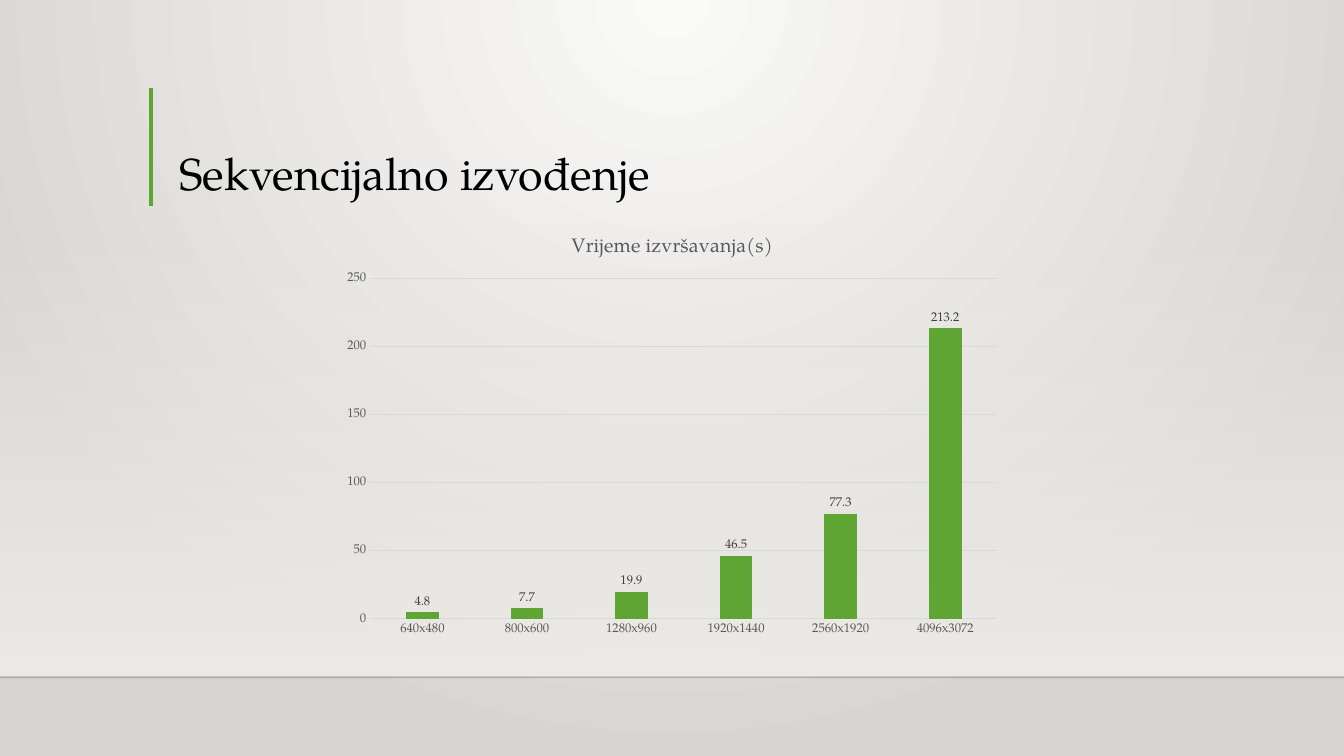
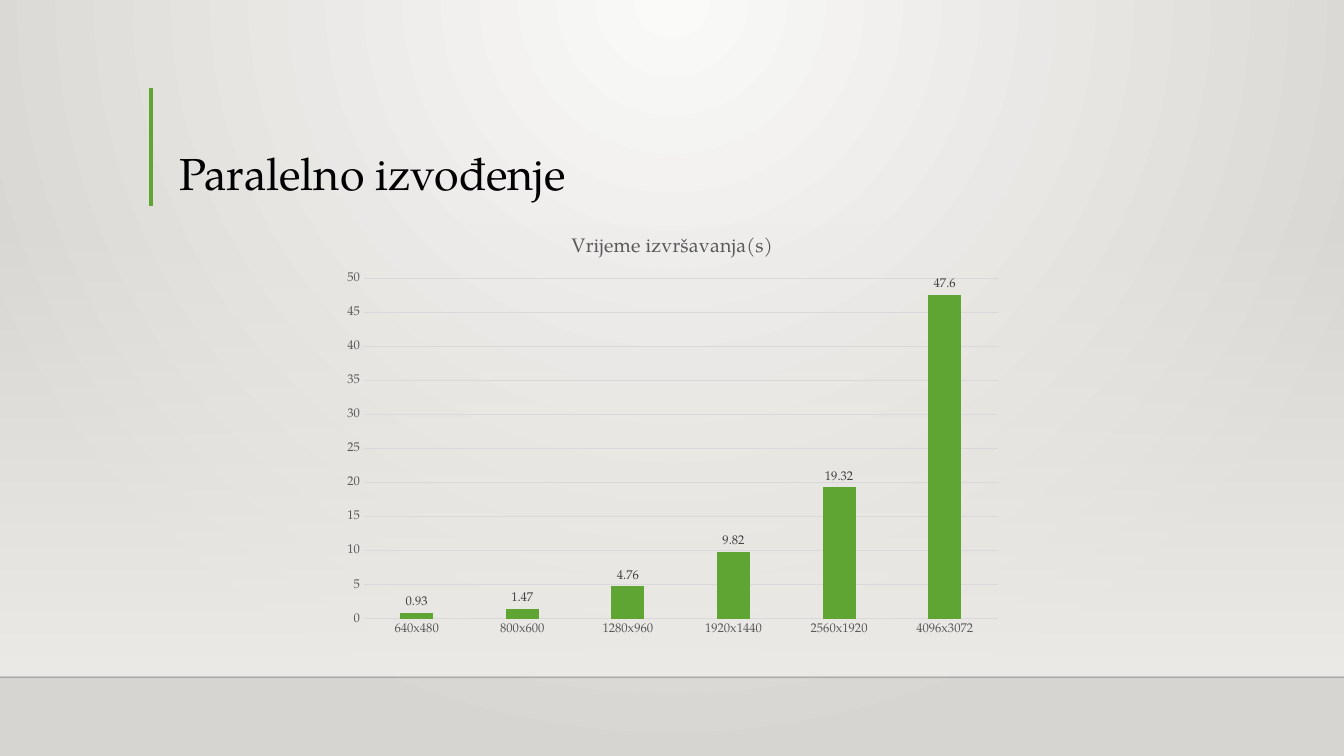
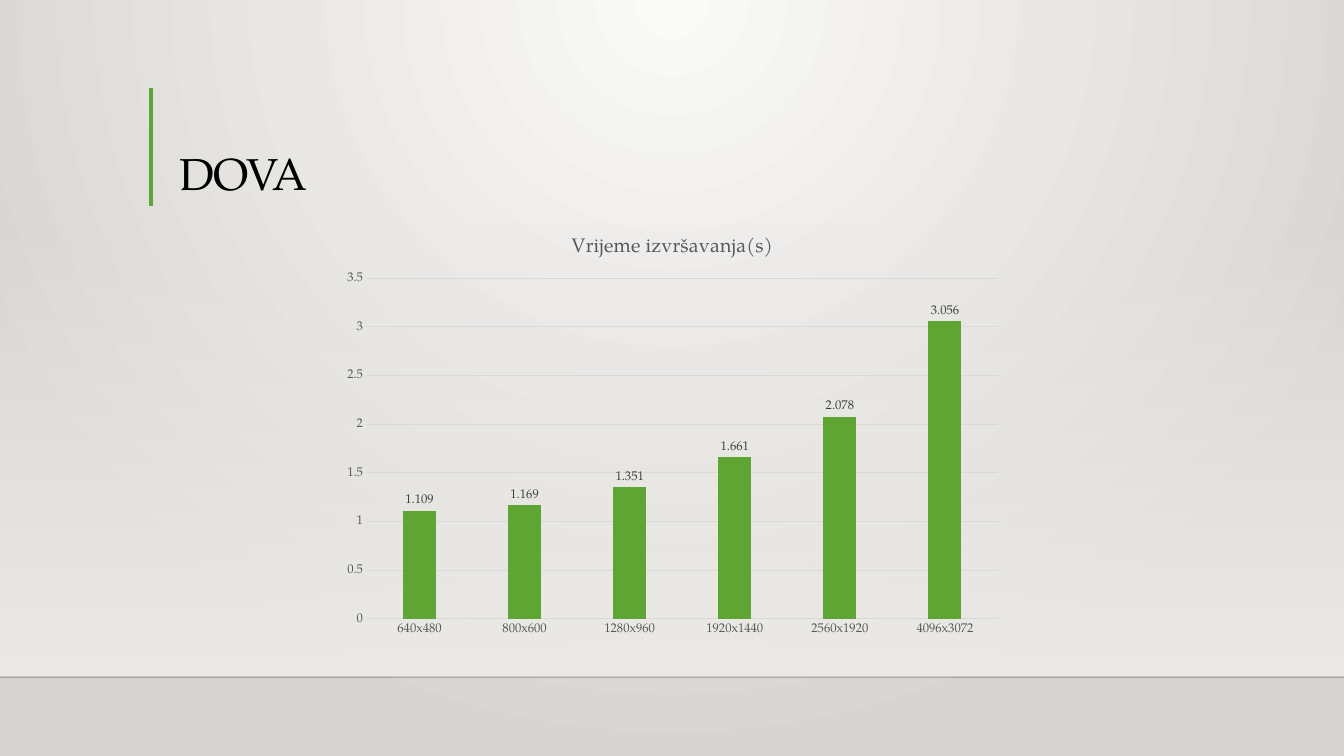
from lxml.etree import SubElement
from pptx import Presentation
from pptx.chart.data import CategoryChartData
from pptx.dml.color import RGBColor
from pptx.enum.chart import XL_CHART_TYPE, XL_LABEL_POSITION, XL_TICK_MARK
from pptx.enum.shapes import MSO_CONNECTOR, MSO_SHAPE
from pptx.enum.text import MSO_ANCHOR
from pptx.oxml import parse_xml
from pptx.oxml.ns import nsdecls, qn
from pptx.util import Cm, Pt

GREEN = RGBColor(0x5F, 0xA5, 0x34)
BLACK = RGBColor(0x00, 0x00, 0x00)
HORIZON = RGBColor(0x00, 0x00, 0x01)
GLOW = RGBColor(0xFA, 0xFA, 0xF9)
EDGE = RGBColor(0xD7, 0xD5, 0xD2)
MIST = RGBColor(0xED, 0xEB, 0xE7)
AXIS_TEXT = RGBColor(0x59, 0x59, 0x59)
LABEL_TEXT = RGBColor(0x40, 0x40, 0x40)
GRID = RGBColor(0xD9, 0xD9, 0xD9)

FONT = "TeX Gyre Pagella"
WIDTH, HEIGHT = Cm(33.87), Cm(19.05)
CHART_TITLE = "Vrijeme izvršavanja(s)"
RESOLUTIONS = ("640x480", "800x600", "1280x960", "1920x1440", "2560x1920", "4096x3072")
TIMINGS = {
    "Sekvencijalno izvođenje": (4.8, 7.7, 19.9, 46.5, 77.3, 213.2),
    "Paralelno izvođenje": (0.93, 1.47, 4.76, 9.82, 19.32, 47.6),
    "DOVA": (1.109, 1.169, 1.351, 1.661, 2.078, 3.056),
}


def set_font(font, size, color):
    """Apply the deck typeface with a size and colour."""
    font.name = FONT
    font.size = Pt(size)
    font.color.rgb = color


def set_gradient(fill, start, end):
    """Fill with a gradient between two colours."""
    fill.gradient()
    for stop, color in zip(fill.gradient_stops, (start, end)):
        stop.color.rgb = color


def set_alpha(element, color_query, percent):
    """Set the opacity of the first colour that the query finds."""
    SubElement(element.xpath(color_query)[0], qn("a:alpha"), val=str(percent * 1000))


def set_background(master):
    """Light the master background from the top centre."""
    set_gradient(master.background.fill, GLOW, EDGE)
    direction = master.element.xpath(".//p:bg//a:gradFill/a:lin")[0]
    glow = parse_xml(
        f'<a:path {nsdecls("a")} path="circle">'
        '<a:fillToRect l="43000" t="0" r="43000" b="100000"/></a:path>'
    )
    direction.getparent().replace(direction, glow)


def add_rule(slide, x1, y1, x2, y2, color, weight):
    """Draw a straight line without a shadow."""
    rule = slide.shapes.add_connector(MSO_CONNECTOR.STRAIGHT, x1, y1, x2, y2)
    rule.line.color.rgb = color
    rule.line.width = Pt(weight)
    SubElement(rule.element.spPr, qn("a:effectLst"))
    return rule


def add_scenery(slide):
    """Add the mist band, the horizon and the title accent."""
    mist = slide.shapes.add_shape(MSO_SHAPE.RECTANGLE, 0, Cm(5.59), WIDTH, Cm(11.43))
    mist.shadow.inherit = False
    mist.line.fill.background()
    set_gradient(mist.fill, MIST, MIST)
    mist.fill.gradient_angle = 270
    set_alpha(mist.element, ".//a:gs[1]/a:srgbClr", 0)
    horizon = add_rule(slide, 0, Cm(17.07), WIDTH, Cm(17.07), HORIZON, 1)
    set_alpha(horizon.element, ".//a:ln//a:srgbClr", 20)
    add_rule(slide, Cm(3.81), Cm(2.21), Cm(3.81), Cm(5.18), GREEN, 3)


def add_title(slide, text):
    """Add the slide title, resting on the bottom of its box."""
    frame = slide.shapes.add_textbox(Cm(4.27), Cm(2.24), Cm(25.6), Cm(2.92)).text_frame
    frame.word_wrap = True
    frame.vertical_anchor = MSO_ANCHOR.BOTTOM
    paragraph = frame.paragraphs[0]
    paragraph.text = text
    paragraph.line_spacing = 0.9
    set_font(paragraph.font, 32, BLACK)


def style_axes(chart):
    """Give both axes small grey text and thin grey lines."""
    for axis in (chart.category_axis, chart.value_axis):
        axis.major_tick_mark = axis.minor_tick_mark = XL_TICK_MARK.NONE
        set_font(axis.tick_labels.font, 9, AXIS_TEXT)
    chart.value_axis.format.line.fill.background()
    for line in (chart.category_axis.format.line,
                 chart.value_axis.major_gridlines.format.line):
        line.color.rgb = GRID
        line.width = Pt(0.75)


def style_columns(plot):
    """Colour the columns and label each one with its value."""
    plot.gap_width = 219
    plot.overlap = -27
    plot.vary_by_categories = False
    columns = plot.series[0]
    columns.format.fill.solid()
    columns.format.fill.fore_color.rgb = GREEN
    labels = columns.data_labels
    labels.show_value = True
    labels.position = XL_LABEL_POSITION.OUTSIDE_END
    set_font(labels.font, 9, LABEL_TEXT)


def add_timing_chart(slide, seconds):
    """Add a column chart of run time by image resolution."""
    timings = CategoryChartData()
    timings.categories = RESOLUTIONS
    timings.add_series("Series 1", seconds)
    chart = slide.shapes.add_chart(
        XL_CHART_TYPE.COLUMN_CLUSTERED,
        Cm(8.41), Cm(5.49), Cm(17.07), Cm(10.74), timings,
    ).chart
    set_font(chart.font, 10, BLACK)
    chart.element.find(qn("c:txPr")).addprevious(parse_xml(
        f'<c:spPr {nsdecls("c", "a")}><a:noFill/><a:ln><a:noFill/></a:ln></c:spPr>'
    ))
    chart.has_legend = False
    chart.has_title = True
    heading = chart.chart_title.text_frame.paragraphs[0]
    heading.text = CHART_TITLE
    set_font(heading.font, 14, AXIS_TEXT)
    heading.font.bold = False
    style_axes(chart)
    style_columns(chart.plots[0])


def main():
    """Build one timing slide for each way of running."""
    deck = Presentation()
    deck.slide_width, deck.slide_height = WIDTH, HEIGHT
    set_background(deck.slide_master)
    for title, seconds in TIMINGS.items():
        slide = deck.slides.add_slide(deck.slide_layouts[6])
        add_scenery(slide)
        add_title(slide, title)
        add_timing_chart(slide, seconds)
    deck.save("out.pptx")


main()
